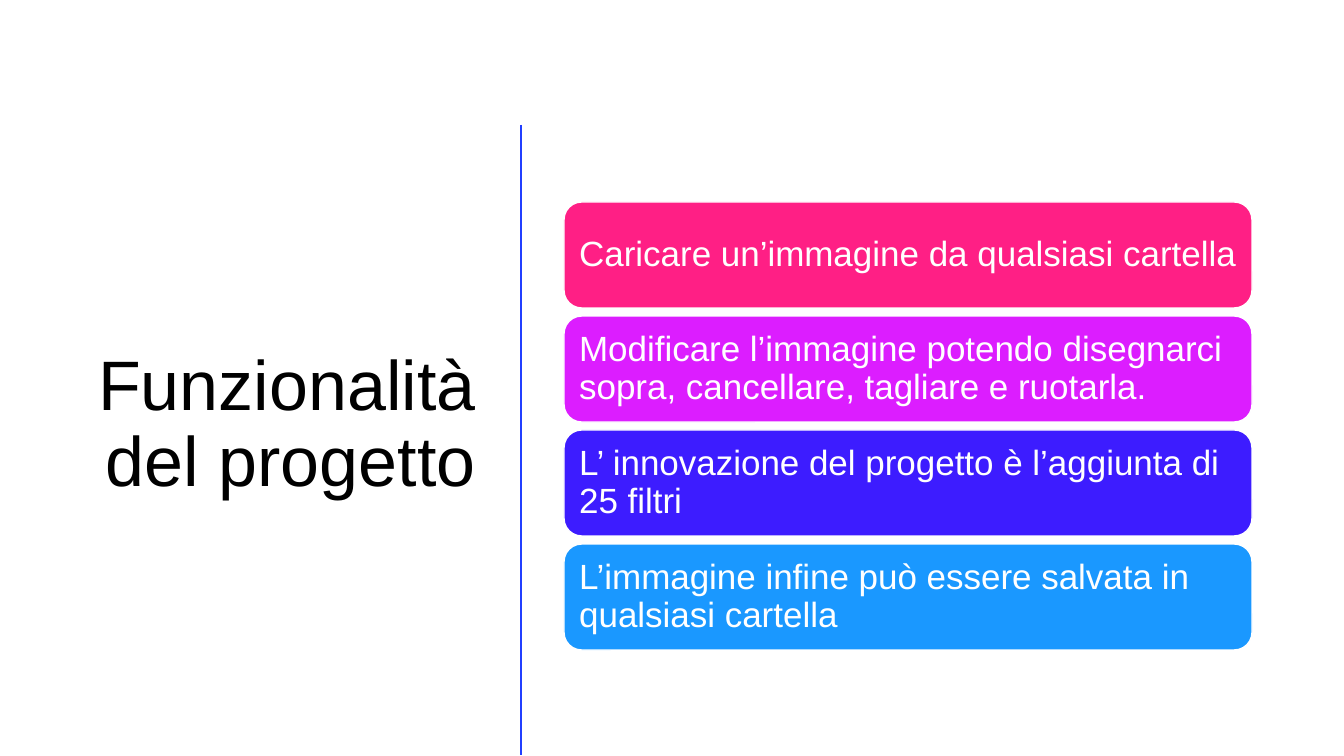
from dataclasses import dataclass

from lxml import etree
from pptx import Presentation
from pptx.dml.color import RGBColor
from pptx.enum import shapes, text
from pptx.oxml import ns
from pptx import util as u


@dataclass(frozen=True)
class Theme:
    font: str = "Arial"
    ink: str = "000000"
    paper: str = "FFFFFF"
    rule: str = "213FFF"
    head: int = 50
    body: int = 25


THEME = Theme()
CARDS = [
    ("Caricare un’immagine da qualsiasi cartella", "FF1F85"),
    ("Modificare l’immagine potendo disegnarci sopra, cancellare, tagliare e ruotarla.", "DC1DFF"),
    ("L’ innovazione del progetto è l’aggiunta di 25 filtri", "3D1CFF"),
    ("L’immagine infine può essere salvata in qualsiasi cartella", "1A98FF"),
]
TOP, STEP = 202, 114


def px(n):
    return u.Emu(round(n * 914400 / 100.8))


def color(code):
    return RGBColor.from_string(code)


def write(frame, words, size, ink, align):
    frame.text = words
    frame.word_wrap = True
    frame.auto_size = text.MSO_AUTO_SIZE.NONE
    frame.vertical_anchor = text.MSO_ANCHOR.MIDDLE
    frame.margin_left = frame.margin_right = px(10)
    frame.margin_top = frame.margin_bottom = px(5)
    para = frame.paragraphs[0]
    para.alignment = align
    para.line_spacing = 0.9
    font = para.runs[0].font
    font.name = THEME.font
    font.size = u.Pt(size)
    font.color.rgb = color(ink)


def add_title(slide, words):
    title = slide.shapes.title
    title.left, title.top, title.width, title.height = map(px, (52, 118, 434, 616))
    write(title.text_frame, words, THEME.head, THEME.ink, text.PP_ALIGN.RIGHT)


def add_rule(slide, x, top, end):
    rule = slide.shapes.add_connector(
        shapes.MSO_CONNECTOR.STRAIGHT, px(x), px(top), px(x), px(end))
    rule.line.color.rgb = color(THEME.rule)
    rule.line.width = u.Pt(2)
    etree.SubElement(rule._element.spPr, ns.qn("a:effectLst"))


def add_card(slide, top, words, fill):
    card = slide.shapes.add_shape(
        shapes.MSO_SHAPE.ROUNDED_RECTANGLE, px(564), px(top), px(688), px(106))
    card.shadow.inherit = False
    card.fill.solid()
    card.fill.fore_color.rgb = color(fill)
    card.line.color.rgb = color(THEME.paper)
    card.line.width = u.Pt(1)
    write(card.text_frame, words, THEME.body, THEME.paper, text.PP_ALIGN.LEFT)


def main():
    deck = Presentation()
    deck.slide_width, deck.slide_height = px(1344), px(756)
    slide = deck.slides.add_slide(deck.slide_layouts[5])
    add_title(slide, "Funzionalità del progetto")
    add_rule(slide, 521, 125, 755)
    for i, (words, fill) in enumerate(CARDS):
        add_card(slide, TOP + i * STEP, words, fill)
    deck.save("out.pptx")


if __name__ == "__main__":
    main()
